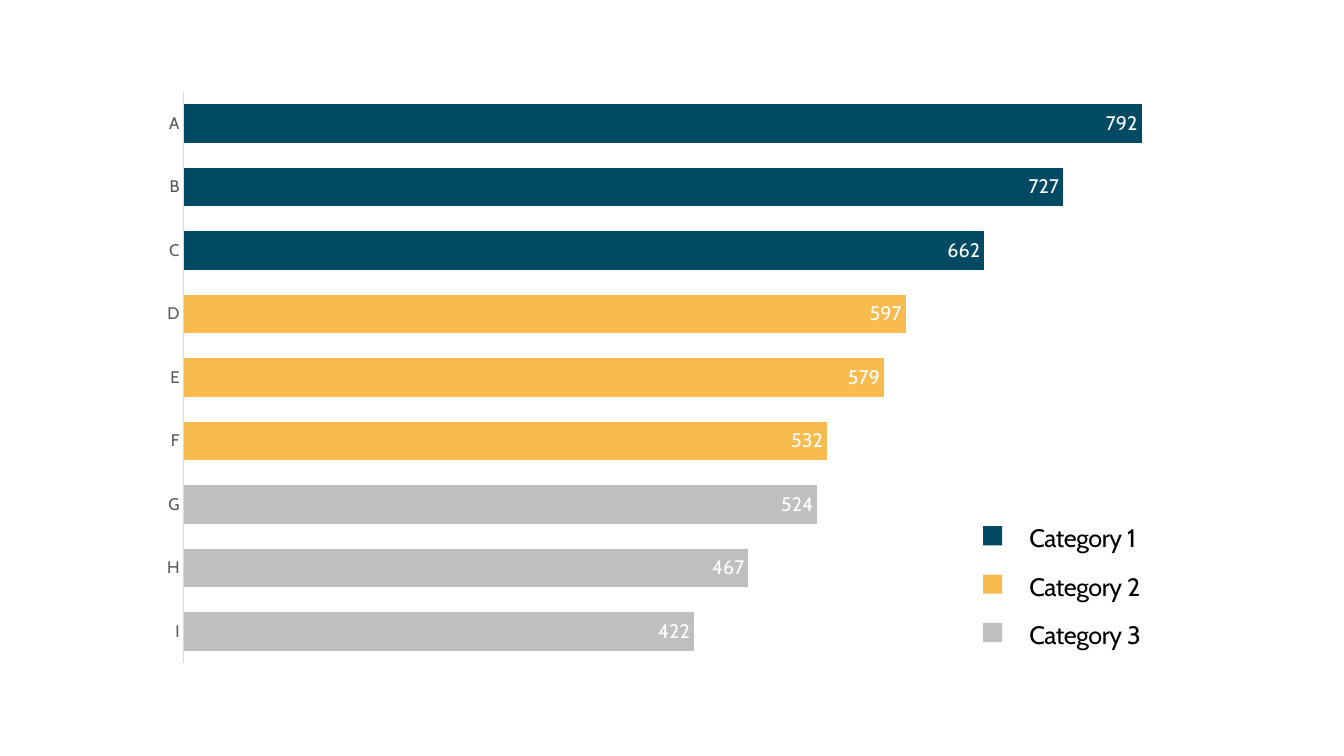
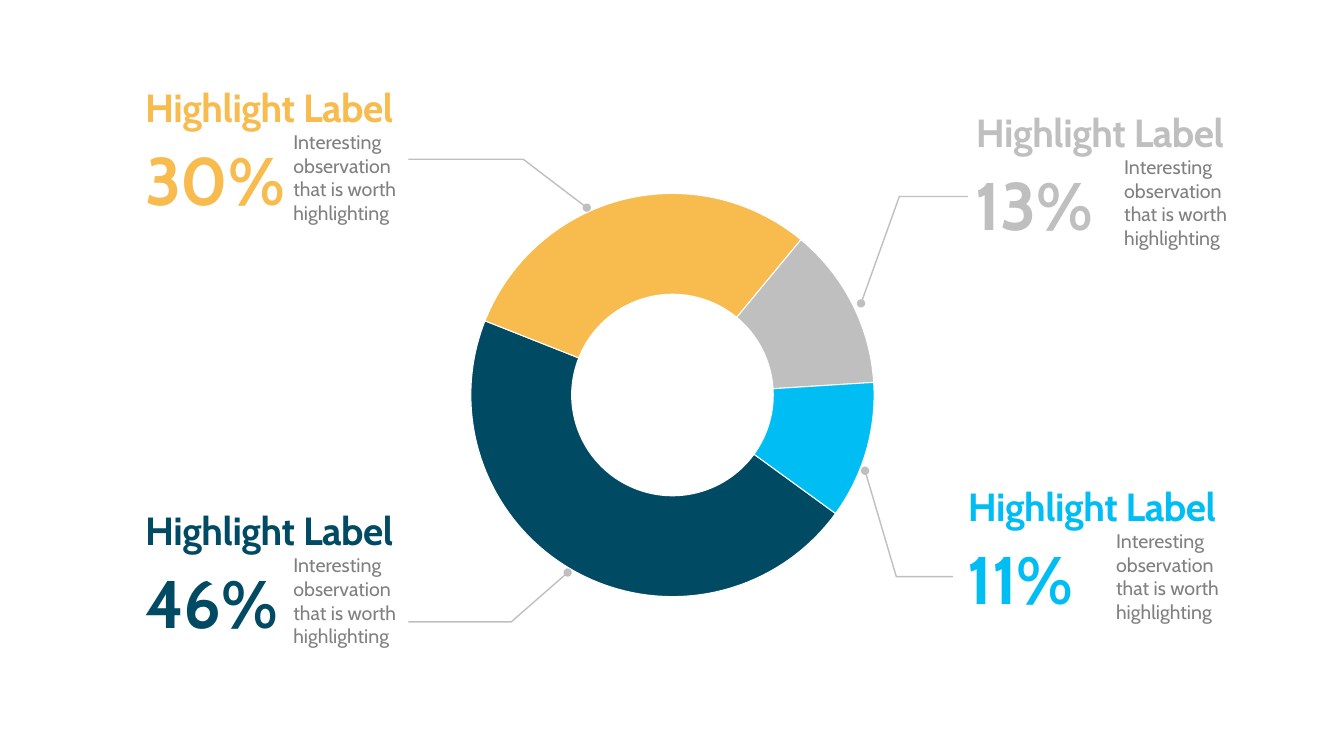
import pptx
import pptx.chart.data
import pptx.dml.color
import pptx.enum.chart
import pptx.enum.shapes
import pptx.enum.text
import pptx.oxml
import pptx.oxml.ns
import pptx.util

Inches = pptx.util.Inches
Pt = pptx.util.Pt
qn = pptx.oxml.ns.qn
CHART = pptx.enum.chart.XL_CHART_TYPE
ANCHOR = pptx.enum.text.MSO_ANCHOR

NAVY, AMBER, SILVER, CYAN = "004A64", "F8BB4E", "BFBFBF", "00BEF3"
WHITE, BLACK, GREY, DARK_GREY, PALE = "FFFFFF", "000000", "808080", "595959", "D9D9D9"
FONT = "Cabin"


def rgb(value):
    return pptx.dml.color.RGBColor.from_string(value)


class Deck:
    """Holds the presentation, the shared style and the current slide."""

    def __init__(self):
        self.prs = pptx.Presentation()
        self.prs.slide_width = Inches(13.33)
        self.prs.slide_height = Inches(7.5)
        self.slide = None

    def new_slide(self):
        self.slide = self.prs.slides.add_slide(self.prs.slide_layouts[6])

    def style_font(self, font, size, color, bold=False):
        font.name, font.size, font.bold = FONT, Pt(size), bold
        font.color.rgb = rgb(color)

    def text(self, x, y, w, h, lines, size, color, bold=False, spacing=None,
             anchor=ANCHOR.TOP, line_spacing=None, after=0):
        tf = self.slide.shapes.add_textbox(Inches(x), Inches(y), Inches(w), Inches(h)).text_frame
        tf.margin_left = tf.margin_top = tf.margin_right = tf.margin_bottom = 0
        tf.word_wrap = True
        tf.vertical_anchor = anchor
        tf.text = "\n".join(lines)
        for p in tf.paragraphs:
            p.space_after = Pt(after)
            if line_spacing:
                p.line_spacing = line_spacing
            for r in p.runs:
                self.style_font(r.font, size, color, bold)
                if spacing:
                    r.font._element.set("spc", str(round(spacing * 100)))

    def square(self, x, y, side, color):
        sp = self.slide.shapes.add_shape(pptx.enum.shapes.MSO_SHAPE.RECTANGLE,
                                         Inches(x), Inches(y), Inches(side), Inches(side))
        sp.shadow.inherit = False
        sp.fill.solid()
        sp.fill.fore_color.rgb = rgb(color)
        sp.line.fill.background()

    def legend(self, x, y, names, colors, pitch=0.48):
        for i, color in enumerate(colors):
            self.square(x, y + i * pitch, 0.19, color)
        self.text(x + 0.46, y - 0.05, 1.85, 1.4, names, 18, BLACK,
                  spacing=-0.3, line_spacing=1.05, after=12)

    def leader(self, points):
        """Bent line with a dot at its first point."""
        points = [(Inches(x), Inches(y)) for x, y in points]
        builder = self.slide.shapes.build_freeform(*points[0], scale=1.0)
        builder.add_line_segments(points[1:], close=False)
        sp = builder.convert_to_shape()
        sp.shadow.inherit = False
        sp.fill.background()
        sp.line.color.rgb = rgb(SILVER)
        sp.line.width = Pt(1)
        ln = sp.line._get_or_add_ln()
        ln.append(pptx.oxml.parse_xml(
            '<a:headEnd %s type="oval"/>' % pptx.oxml.ns.nsdecls("a")))

    def callout(self, x, y, percent, color, points):
        self.leader(points)
        self.text(x, y, 2.56, 0.47, ["Highlight Label"], 28, color, True, -0.3, ANCHOR.BOTTOM)
        self.text(x + 1.47, y + 0.47, 1.13, 0.94,
                  ["Interesting observation that is worth highlighting"], 14, GREY)
        self.text(x, y + 0.54, 1.75, 0.81, [f"{percent}%"], 48, color, True, -0.3, ANCHOR.BOTTOM)

    def chart(self, kind, box, plot_box, categories, values, colors, font_size, outline=None):
        """Chart with one coloured point per value; plot_box is in slide inches."""
        data = pptx.chart.data.CategoryChartData()
        data.categories = categories
        data.add_series("Series 1", values)
        chart = self.slide.shapes.add_chart(kind, *map(Inches, box), data).chart
        chart.has_legend = chart.has_title = False
        self.style_font(chart.font, font_size, BLACK)
        for i, color in enumerate(colors):
            fmt = chart.plots[0].series[0].points[i].format
            fmt.fill.solid()
            fmt.fill.fore_color.rgb = rgb(color)
            if outline:
                fmt.line.color.rgb = rgb(outline)
                fmt.line.width = Pt(0.75)
            else:
                fmt.line.fill.background()
        self.place_plot(chart, box, plot_box)
        return chart

    def place_plot(self, chart, box, plot_box):
        x, y, w, h = box
        px, py, pw, ph = plot_box
        fractions = {"x": (px - x) / w, "y": (py - y) / h, "w": pw / w, "h": ph / h}
        area = chart._chartSpace.find(".//" + qn("c:plotArea"))
        for old in area.findall(qn("c:layout")):
            area.remove(old)
        parts = '<c:layoutTarget val="inner"/><c:xMode val="edge"/><c:yMode val="edge"/>'
        parts += "".join(f'<c:{k} val="{v:.4f}"/>' for k, v in fractions.items())
        area.insert(0, pptx.oxml.parse_xml(
            "<c:layout %s><c:manualLayout>%s</c:manualLayout></c:layout>"
            % (pptx.oxml.ns.nsdecls("c"), parts)))

    def bar_chart(self, box, plot_box, categories, values, colors):
        chart = self.chart(CHART.BAR_CLUSTERED, box, plot_box, categories, values, colors, 10)
        plot = chart.plots[0]
        plot.vary_by_categories = False
        plot.gap_width = 65
        # Value labels
        plot.has_data_labels = True
        labels = plot.data_labels
        labels.show_value = True
        labels.position = pptx.enum.chart.XL_LABEL_POSITION.INSIDE_END
        labels.number_format, labels.number_format_is_linked = "#,##0", False
        self.style_font(labels.font, 14, WHITE)
        # Axes
        cat, val = chart.category_axis, chart.value_axis
        cat.reverse_order = True
        cat.major_tick_mark = pptx.enum.chart.XL_TICK_MARK.NONE
        cat.format.line.color.rgb = rgb(PALE)
        cat.format.line.width = Pt(0.75)
        self.style_font(cat.tick_labels.font, 12, DARK_GREY)
        val.minimum_scale, val.maximum_scale = 0, 900
        val.has_major_gridlines = False
        val.tick_label_position = pptx.enum.chart.XL_TICK_LABEL_POSITION.NONE
        val.format.line.fill.background()

    def doughnut(self, box, plot_box, values, colors, start, hole):
        categories = [str(i + 1) for i in range(len(values))]
        chart = self.chart(CHART.DOUGHNUT, box, plot_box, categories, values, colors, 18, WHITE)
        chart.plots[0].vary_by_categories = True
        for tag, value in (("c:firstSliceAng", start), ("c:holeSize", hole)):
            chart._chartSpace.find(".//" + qn(tag)).set("val", str(value))


def main():
    deck = Deck()

    # Slide 1: ranked bars in three categories
    deck.new_slide()
    groups = [NAVY, AMBER, SILVER]
    deck.bar_chart((1.43, 0.79, 11.42, 5.92), (1.82, 0.91, 10.8, 5.67), list("ABCDEFGHI"),
                   [792, 727, 662, 597, 579, 532, 524, 467, 422],
                   [color for color in groups for _ in range(3)])
    deck.legend(9.75, 5.22, [f"Category {i}" for i in (1, 2, 3)], groups)

    # Slide 2: doughnut with a callout for each slice
    deck.new_slide()
    callouts = [
        (1.44, 5.02, 46, NAVY, [(5.63, 5.68), (5.07, 6.17), (4.05, 6.17)]),
        (1.44, 0.82, 30, AMBER, [(5.82, 2.06), (5.19, 1.58), (4.05, 1.58)]),
        (9.68, 1.07, 13, SILVER, [(8.54, 3.01), (8.92, 1.95), (9.6, 1.95)]),
        (9.6, 4.78, 11, CYAN, [(8.58, 4.67), (8.89, 5.72), (9.45, 5.72)]),
    ]
    deck.doughnut((3.46, 1.78, 6.42, 4.28), (4.67, 1.92, 4, 4),
                  [c[2] for c in callouts], [c[3] for c in callouts], start=126, hole=60)
    for callout in callouts:
        deck.callout(*callout)

    deck.prs.save("out.pptx")


if __name__ == "__main__":
    main()
